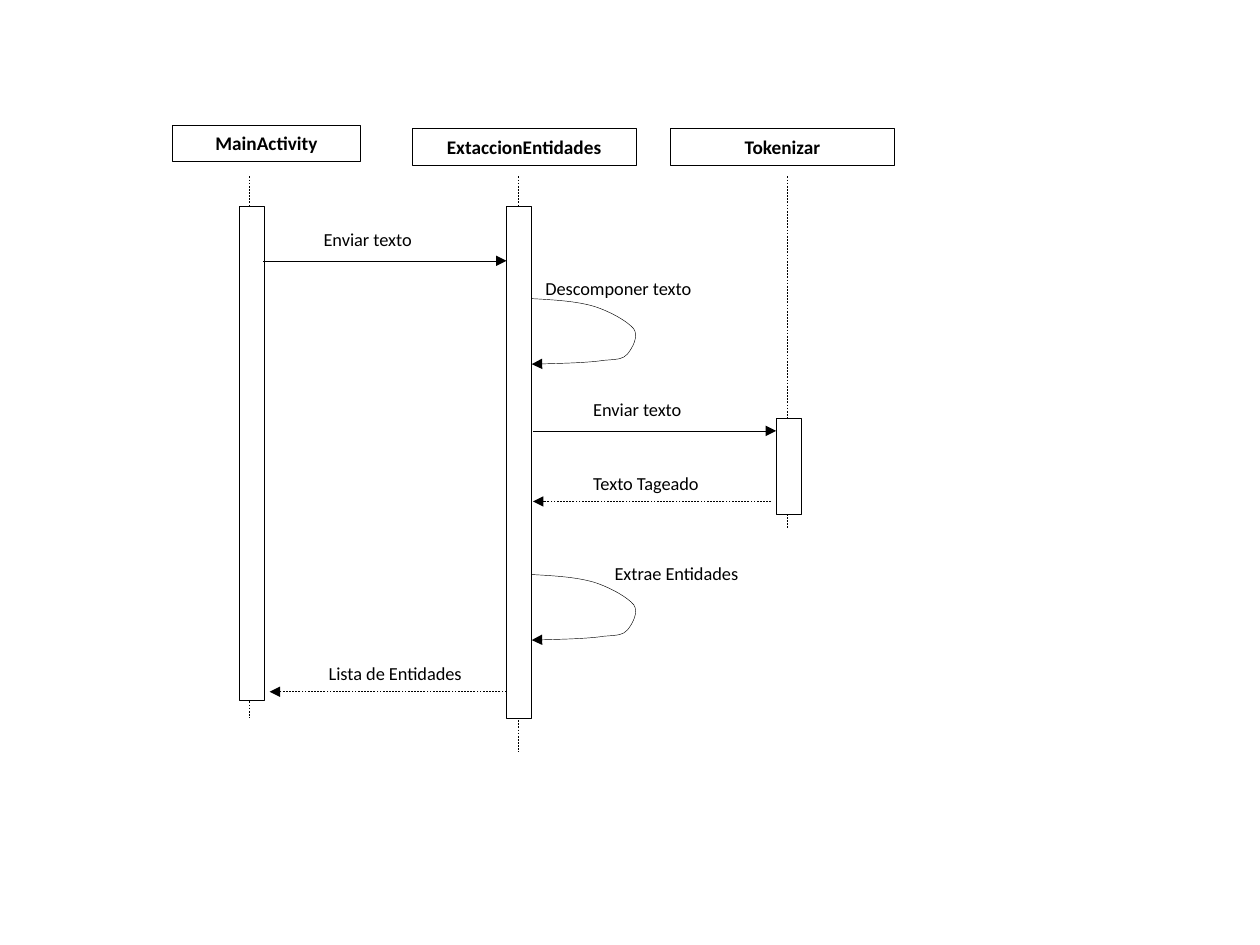
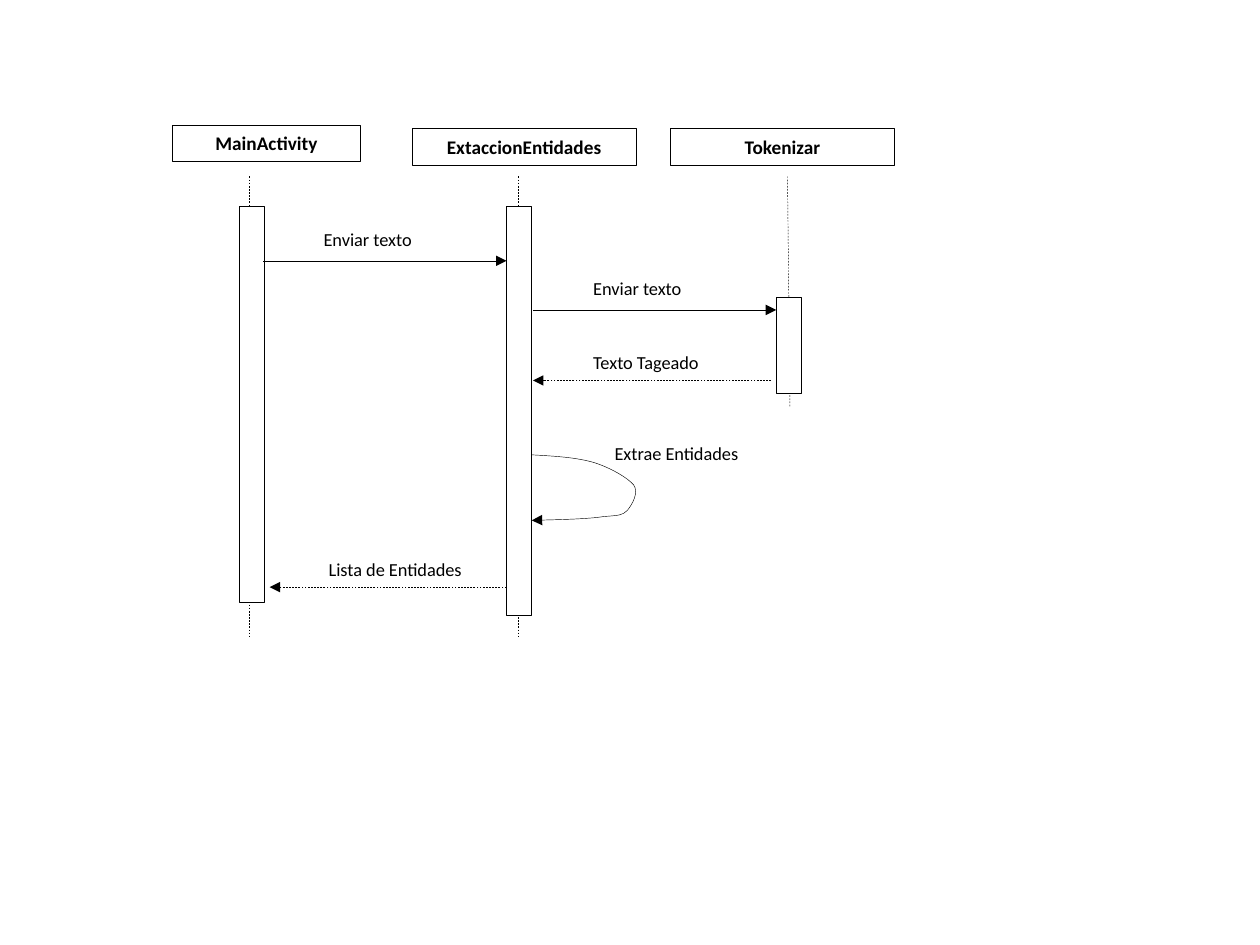
from dataclasses import dataclass

from pptx import Presentation
from pptx.dml.color import RGBColor
from pptx.enum.dml import MSO_LINE
from pptx.enum.shapes import MSO_CONNECTOR, MSO_SHAPE
from pptx.enum.text import MSO_ANCHOR, MSO_AUTO_SIZE, PP_ALIGN
from pptx.oxml.ns import qn
from pptx.oxml.xmlchemy import OxmlElement
from pptx.util import Pt

# Scale and style: 100 px to the inch
PX = 9144
BLACK = RGBColor(0, 0, 0)
WHITE = RGBColor(255, 255, 255)
FONT = "Calibri"
THIN = Pt(0.25)
HEAD_SIZE = Pt(11)
TEXT_SIZE = Pt(10.5)
RECT = MSO_SHAPE.RECTANGLE
STRAIGHT = MSO_CONNECTOR.STRAIGHT
DASH = MSO_LINE.DASH
FIT = MSO_AUTO_SIZE.SHAPE_TO_FIT_TEXT
MIDDLE = MSO_ANCHOR.MIDDLE
LEFT, CENTER = PP_ALIGN.LEFT, PP_ALIGN.CENTER

# Shared measures
BOX_HIGH = 29
STEM_TOP = 140
BAR_WIDE = 20
LOOP_X = 422
# Offsets of a self-call curve: start, then two handles and an end per arc
CURVE = [(0, 0),
         (18, 1), (35, 2), (49, 6),
         (62, 10), (76, 18), (81, 24),
         (85, 30), (80, 39), (76, 44),
         (72, 48), (70, 48), (57, 49),
         (45, 51), (0, 52)]
# The last arc ends on its second handle
CURVE.append(CURVE[-1])


@dataclass(frozen=True)
class Actor:
    name: str
    left: int
    top: int
    wide: int
    stem: int
    bar: int


@dataclass(frozen=True)
class Life:
    """Reach of one lifeline and of its activation bar."""
    end: int
    bar_top: int
    bar_high: int
    drift: int = 0


@dataclass(frozen=True)
class Message:
    text: str
    start: int
    end: int
    left: int
    wide: int
    rise: int
    high: int
    dashed: bool = False


@dataclass(frozen=True)
class Loop:
    text: str
    left: int
    wide: int
    rise: int
    wrap: bool = False


@dataclass(frozen=True)
class Scene:
    lives: list[Life]
    calls: list[tuple[Message, int]]
    loops: list[tuple[Loop, int]]


ACTORS = [Actor("MainActivity", 137, 99, 149, 198, 190),
          Actor("ExtaccionEntidades", 327, 102, 178, 411, 402),
          Actor("Tokenizar", 532, 102, 178, 625, 616)]

SEND = Message("Enviar texto", 209, 402, 247, 95, 31, 29)
PASS = Message("Enviar texto", 423, 616, 461, 95, 31, 29)
TAGS = Message("Texto Tageado", 612, 423, 461, 108, 28, 28, True)
LIST = Message("Lista de Entidades", 402, 214, 251, 128, 28, 28, True)
SPLIT = Loop("Descomponer texto", 423, 168, 22, True)
DRAW = Loop("Extrae Entidades", 478, 120, 15)

SCENES = [
    Scene([Life(570, 164, 392), Life(597, 164, 406), Life(419, 332, 76)],
          [(SEND, 207), (PASS, 342), (TAGS, 398), (LIST, 549)],
          [(SPLIT, 237), (DRAW, 456)]),
    Scene([Life(505, 164, 314), Life(505, 164, 324), Life(323, 236, 76, 2)],
          [(SEND, 207), (PASS, 246), (TAGS, 302), (LIST, 466)],
          [(DRAW, 361)]),
]


def ink(shape, dashed: bool = False, arrow: bool = False) -> None:
    """Give a shape or connector its thin black line."""
    shape.line.color.rgb = BLACK
    shape.line.width = THIN
    if dashed:
        shape.line.dash_style = DASH
    if arrow:
        tip = OxmlElement("a:tailEnd")
        tip.set("type", "triangle")
        shape.element.spPr.find(qn("a:ln")).append(tip)


def write(frame, text: str, size: Pt, bold: bool, align: PP_ALIGN) -> None:
    para = frame.paragraphs[0]
    para.alignment = align
    run = para.add_run()
    run.text = text
    run.font.name = FONT
    run.font.size = size
    run.font.bold = bold
    run.font.color.rgb = BLACK


def add_rect(shapes, left: int, top: int, wide: int, high: int):
    rect = shapes.add_shape(RECT, left * PX, top * PX, wide * PX, high * PX)
    rect.shadow.inherit = False
    rect.fill.solid()
    rect.fill.fore_color.rgb = WHITE
    ink(rect)
    return rect


def add_line(shapes, x1: int, y1: int, x2: int, y2: int,
             dashed: bool, arrow: bool = False) -> None:
    line = shapes.add_connector(STRAIGHT, x1 * PX, y1 * PX, x2 * PX, y2 * PX)
    ink(line, dashed, arrow)
    line.element.spPr.append(OxmlElement("a:effectLst"))


def add_label(shapes, text: str, left: int, top: int, wide: int, high: int,
              wrap: bool = False) -> None:
    box = shapes.add_textbox(left * PX, top * PX, wide * PX, high * PX)
    box.text_frame.word_wrap = wrap
    box.text_frame.auto_size = FIT
    write(box.text_frame, text, TEXT_SIZE, False, LEFT)


def add_actor(shapes, actor: Actor, life: Life) -> None:
    box = add_rect(shapes, actor.left, actor.top, actor.wide, BOX_HIGH)
    frame = box.text_frame
    frame.word_wrap = True
    frame.auto_size = FIT
    frame.vertical_anchor = MIDDLE
    write(frame, actor.name, HEAD_SIZE, True, CENTER)
    add_line(shapes, actor.stem, STEM_TOP, actor.stem + life.drift, life.end,
             True)
    add_rect(shapes, actor.bar, life.bar_top, BAR_WIDE, life.bar_high)


def add_call(shapes, call: Message, y: int) -> None:
    group = shapes.add_group_shape().shapes
    add_line(group, call.start, y, call.end, y, call.dashed, True)
    add_label(group, call.text, call.left, y - call.rise, call.wide, call.high)


def add_loop(shapes, loop: Loop, y: int) -> None:
    spots = [(LOOP_X + dx, y + dy) for dx, dy in CURVE]
    form = shapes.build_freeform(*spots[0], scale=PX)
    form.add_line_segments(spots[1:], close=False)
    curve = form.convert_to_shape()
    curve.shadow.inherit = False
    curve.fill.background()
    ink(curve, arrow=True)
    # Turn every three straight segments into one Bézier arc
    legs = list(curve.element.iter(qn("a:lnTo")))
    for i in range(0, len(legs), 3):
        arc = OxmlElement("a:cubicBezTo")
        legs[i].addprevious(arc)
        for leg in legs[i:i + 3]:
            arc.append(leg[0])
            leg.getparent().remove(leg)
    add_label(shapes, loop.text, loop.left, y - loop.rise, loop.wide, 28,
              loop.wrap)


def main() -> None:
    deck = Presentation()
    deck.slide_width, deck.slide_height = 1000 * PX, 750 * PX
    blank = deck.slide_layouts[6]
    for scene in SCENES:
        shapes = deck.slides.add_slide(blank).shapes
        for actor, life in zip(ACTORS, scene.lives):
            add_actor(shapes, actor, life)
        for call, y in scene.calls:
            add_call(shapes, call, y)
        for loop, y in scene.loops:
            add_loop(shapes, loop, y)
    deck.save("out.pptx")


if __name__ == "__main__":
    main()
